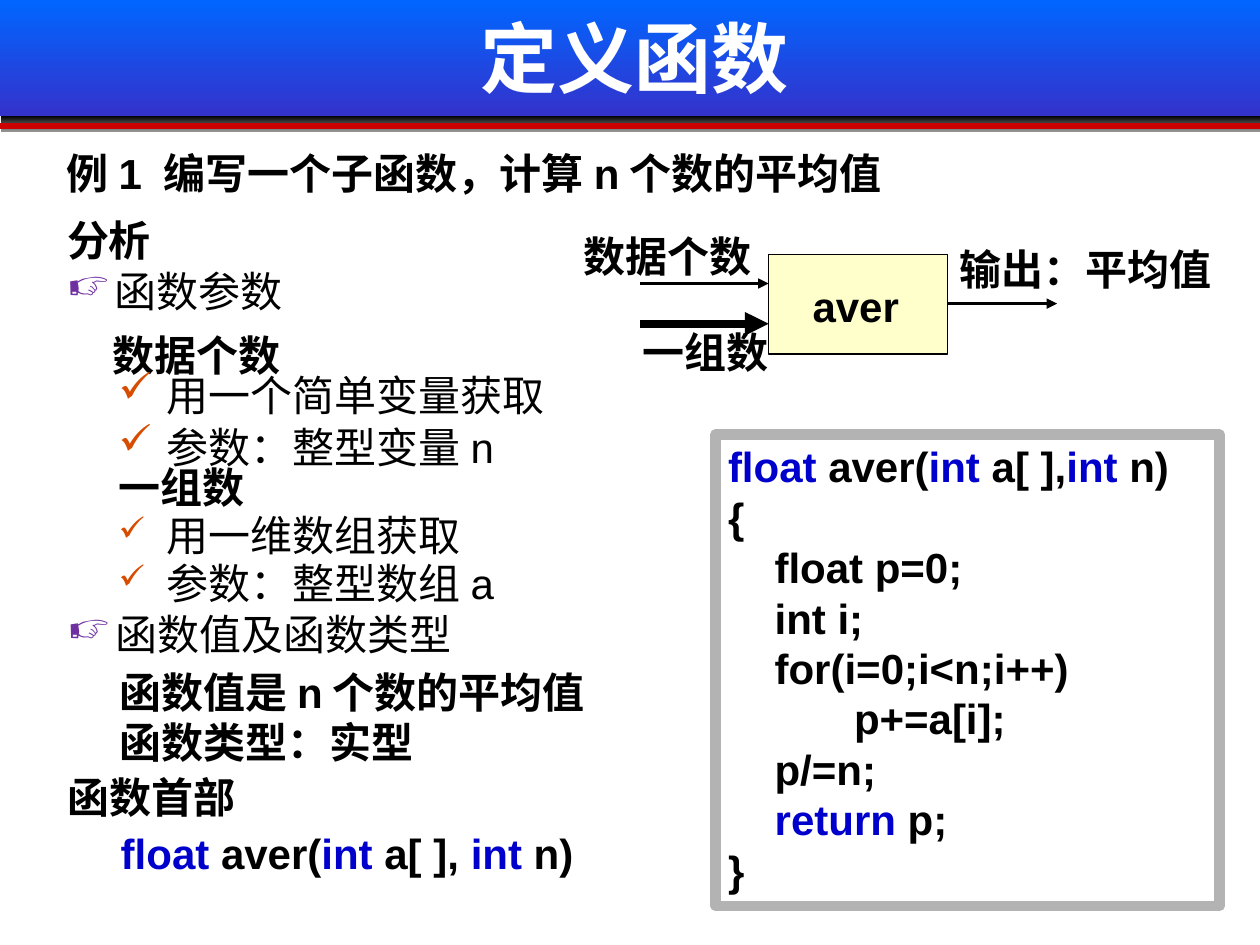
from lxml.etree import SubElement
from pptx import Presentation
from pptx.dml.color import RGBColor
from pptx.enum.shapes import MSO_CONNECTOR, MSO_SHAPE
from pptx.enum.text import MSO_ANCHOR, PP_ALIGN
from pptx.oxml.ns import qn
from pptx.util import Pt

PX = 9144  # 100 px to the inch
ARIAL, NOTO = "Arial", "Noto Sans CJK SC"
BLACK = RGBColor(0x00, 0x00, 0x00)
WHITE = RGBColor(0xFF, 0xFF, 0xFF)
SKY = RGBColor(0x00, 0x66, 0xFF)
INDIGO = RGBColor(0x33, 0x33, 0xCC)
ASH = RGBColor(0x92, 0x92, 0x92)
SHADOW = RGBColor(0x80, 0x80, 0x80)
RED = RGBColor(0xCC, 0x00, 0x00)
CREAM = RGBColor(0xFF, 0xFF, 0xCC)
SILVER = RGBColor(0xB3, 0xB3, 0xB3)
BLUE = RGBColor(0x00, 0x00, 0xCC)
PURPLE = RGBColor(0x70, 0x30, 0xA0)
ORANGE = RGBColor(0xD6, 0x4C, 0x00)
KEYWORDS = {"float", "int", "return"}
HAND, CHECK = ("☞", PURPLE, 100), ("✓", ORANGE, 100)
SMALL_CHECK = ("✓", ORANGE, 80)

CODE = """float| aver(|int |a[ ],|int| n)
{
    float p=0;
    int i;
    for(i=0;i<n;i++)
\tp+=a[i];
    p/=n;
    |return| p;
}"""


def px(*lengths):
    return [length * PX for length in lengths]


def add_bullet(p, char, color, size):
    pPr = p._p.get_or_add_pPr()
    pPr.set("marL", str(38 * PX))
    pPr.set("indent", str(-38 * PX))
    SubElement(SubElement(pPr, qn("a:buClr")), qn("a:srgbClr"), val=str(color))
    SubElement(pPr, qn("a:buSzPct"), val=str(size * 1000))
    SubElement(pPr, qn("a:buChar"), char=char)


def add_tab(p, pos):
    tabs = SubElement(p._p.get_or_add_pPr(), qn("a:tabLst"))
    SubElement(tabs, qn("a:tab"), pos=str(pos * PX), algn="l")


def write_line(p, text, size=24, bold=True, color=BLACK, font=None,
               bullet=None, align=PP_ALIGN.LEFT, spacing=Pt(28.8)):
    """Write one paragraph; "|" separates its runs and keywords turn blue."""
    p.alignment = align
    p.line_spacing = spacing
    if bullet:
        add_bullet(p, *bullet)
    if "\t" in text:
        add_tab(p, 100)
    for part in text.split("|"):
        r = p.add_run()
        r.text = part
        r.font.size = Pt(size)
        r.font.bold = bold
        r.font.name = font or (ARIAL if part.isascii() else NOTO)
        r.font.color.rgb = BLUE if part.strip() in KEYWORDS else color
        SubElement(r.font._element, qn("a:ea"), typeface=NOTO)


def write_lines(sp, text, **fmt):
    tf = sp.text_frame
    tf.word_wrap = True
    tf.vertical_anchor = MSO_ANCHOR.TOP
    for i, line in enumerate(text.split("\n")):
        write_line(tf.add_paragraph() if i else tf.paragraphs[0], line, **fmt)


def add_label(s, box, text, **fmt):
    write_lines(s.shapes.add_textbox(*px(*box)), text, **fmt)


def add_box(s, box, kind=MSO_SHAPE.RECTANGLE, fill=None, line=None, width=1):
    sp = s.shapes.add_shape(kind, *px(*box))
    sp.shadow.inherit = False
    if fill:
        sp.fill.solid()
        sp.fill.fore_color.rgb = fill
    else:
        sp.fill.background()
    if line:
        sp.line.color.rgb = line
        sp.line.width = Pt(width)
    else:
        sp.line.fill.background()
    return sp


def add_note(s, box, text, **fmt):
    sp = add_box(s, box, MSO_SHAPE.ROUNDED_RECTANGLE)
    sp.adjustments[0] = 0.025
    write_lines(sp, text, **fmt)


def add_band(s, box, top, bottom):
    sp = add_box(s, box)
    sp.fill.gradient()
    sp.fill.gradient_angle = 270
    for stop, color, pos in zip(sp.fill.gradient_stops, (top, bottom), (0, 1)):
        stop.color.rgb = color
        stop.position = pos
    return sp


def add_shadow(sp):
    effects = sp._element.spPr.find(qn("a:effectLst"))
    shadow = SubElement(effects, qn("a:outerShdw"), blurRad=str(Pt(5)),
                        dist=str(Pt(3)), dir="2700000")
    color = SubElement(shadow, qn("a:srgbClr"), val=str(SHADOW))
    SubElement(color, qn("a:alpha"), val="75000")


def add_rule(s, x1, x2, y, color=BLACK, width=1.5, arrow=True):
    c = s.shapes.add_connector(MSO_CONNECTOR.STRAIGHT, *px(x1, y, x2, y))
    c.line.color.rgb = color
    c.line.width = Pt(width)
    if arrow:
        SubElement(c.line._get_or_add_ln(), qn("a:tailEnd"), type="triangle")
    SubElement(c._element.spPr, qn("a:effectLst"))


def add_header(s):
    add_shadow(add_band(s, (0, 0, 1000, 92), SKY, INDIGO))
    add_band(s, (1, 92, 999, 12), BLACK, ASH)
    add_rule(s, 0, 1000, 100, RED, 3, arrow=False)
    title = s.shapes.title
    title.left, title.top, title.width, title.height = px(50, -2, 908, 94)
    write_lines(title, "定义函数", size=44, color=WHITE, font=ARIAL,
                align=PP_ALIGN.CENTER, spacing=1.0)
    title.text_frame.vertical_anchor = MSO_ANCHOR.MIDDLE
    title.element.getparent().append(title.element)  # in front of the bands


def add_diagram(s):
    add_box(s, (610, 202, 142, 79), fill=CREAM, line=BLACK)
    add_rule(s, 508, 610, 225)
    add_rule(s, 508, 610, 257, width=4.5)
    add_rule(s, 752, 839, 241)
    for box, text in (
        ((635, 218, 102, 50), "aver"),
        ((752, 188, 274, 50), "输出：平均值"),
        ((453, 178, 173, 51), "数据个数"),
        ((500, 254, 205, 51), "一组数"),
    ):
        add_label(s, box, text, font=ARIAL)


def add_analysis(s):
    add_label(s, (43, 112, 724, 51), "例|1 |编写一个子函数，计算|n|个数的平均值")
    # Headings and statements
    for box, text in (
        ((43, 165, 512, 50), "分析"),
        ((79, 256, 512, 72), "数据个数"),
        ((84, 361, 188, 62), "一组数"),
        ((84, 523, 427, 103), "函数值是|n|个数的平均值\n函数类型：实型"),
        ((43, 607, 512, 103), "函数首部"),
    ):
        add_note(s, box, text)
    # Bulleted points
    for box, text, bullet in (
        ((43, 205, 512, 63), "函数参数", HAND),
        ((84, 288, 512, 51), "用一个简单变量获取", CHECK),
        ((84, 329, 393, 50), "参数：整型变量|n", CHECK),
        ((84, 399, 393, 51), "用一维数组获取", SMALL_CHECK),
        ((84, 437, 361, 51), "参数：整型数组|a", SMALL_CHECK),
        ((43, 477, 512, 103), "函数值及函数类型", HAND),
    ):
        add_note(s, box, text, bold=False, bullet=bullet)
    add_label(s, (86, 652, 431, 51), "float| aver(|int| a[ ], |int| n)")


def main():
    prs = Presentation()
    prs.slide_width, prs.slide_height = px(1000, 750)
    s = prs.slides.add_slide(prs.slide_layouts[5])
    add_header(s)
    add_diagram(s)
    add_analysis(s)
    # Code listing
    write_lines(add_box(s, (568, 345, 400, 374), line=SILVER, width=6), CODE)
    prs.save("out.pptx")


if __name__ == "__main__":
    main()
